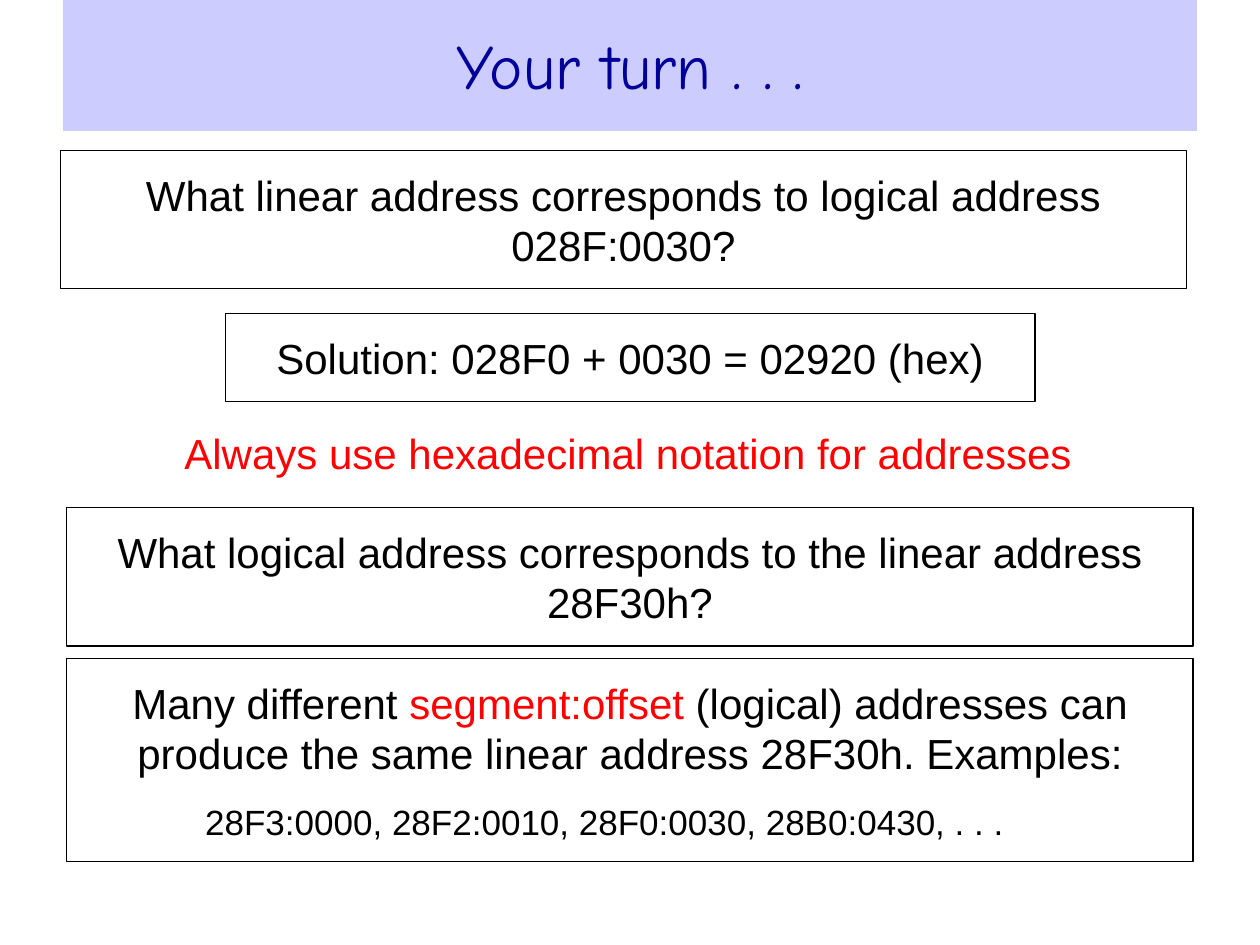
from lxml.etree import SubElement
from pptx import Presentation
from pptx.dml.color import RGBColor
from pptx.enum.shapes import MSO_SHAPE
from pptx.enum.text import MSO_ANCHOR, PP_ALIGN
from pptx.oxml.ns import qn
from pptx.util import Pt

BLACK = RGBColor(0x00, 0x00, 0x00)
RED = RGBColor(0xFF, 0x00, 0x00)
NAVY = RGBColor(0x00, 0x00, 0x99)
LAVENDER = RGBColor(0xCC, 0xCC, 0xFF)

WIDE_LEFT, WIDE_WIDTH = 38.16, 643.68
ONE_LINE, TWO_LINES = 50.4, 79.2  # box heights for 24 pt text


def add_run(paragraph, words, color=BLACK, size=24, face="Arial"):
    run = paragraph.add_run()
    run.text = words
    run.font.name = face
    run.font.size = Pt(size)
    run.font.color.rgb = color


def add_title(slide, words):
    title = slide.shapes.title
    title.left, title.top, title.width, title.height = Pt(36), Pt(-1.44), Pt(648), Pt(76.32)
    title.fill.solid()
    title.fill.fore_color.rgb = LAVENDER
    title.text_frame.vertical_anchor = MSO_ANCHOR.MIDDLE
    heading = title.text_frame.paragraphs[0]
    heading.alignment = PP_ALIGN.CENTER
    add_run(heading, words, NAVY, 36, "Comic Neue")


def format_frame(frame, side_margin=7.2):
    """Set wrapping and margins, and return the centred first paragraph."""
    frame.word_wrap = True
    frame.vertical_anchor = MSO_ANCHOR.TOP
    frame.margin_left = frame.margin_right = Pt(side_margin)
    frame.margin_top = frame.margin_bottom = Pt(10.8)
    frame.paragraphs[0].alignment = PP_ALIGN.CENTER
    return frame.paragraphs[0]


def add_framed_box(slide, left, top, width, height, runs, side_margin=7.2):
    box = slide.shapes.add_shape(MSO_SHAPE.RECTANGLE, Pt(left), Pt(top), Pt(width), Pt(height))
    box.shadow.inherit = False
    box.fill.background()
    box.line.color.rgb = BLACK
    box.line.width = Pt(0.75)
    statement = format_frame(box.text_frame, side_margin)
    for words, color in runs:
        add_run(statement, words, color)
    return box.text_frame


def add_reminder(slide, left, top, width, height, words):
    reminder = slide.shapes.add_textbox(Pt(left), Pt(top), Pt(width), Pt(height))
    add_run(format_frame(reminder.text_frame), words, RED)


def add_examples(frame, words):
    """Add a smaller left-aligned line that starts at a one-inch tab stop."""
    examples = frame.add_paragraph()
    stops = SubElement(examples._p.get_or_add_pPr(), qn("a:tabLst"))
    SubElement(stops, qn("a:tab"), pos=str(Pt(72)), algn="l")
    examples.alignment = PP_ALIGN.LEFT
    examples.space_before = Pt(12.5)
    add_run(examples, "\t" + words, size=20)


def main():
    deck = Presentation()
    deck.slide_width, deck.slide_height = Pt(720), Pt(540)
    slide = deck.slides.add_slide(deck.slide_layouts[5])

    add_title(slide, "Your turn . . .")
    add_framed_box(slide, 34.4, 85.9, WIDE_WIDTH, TWO_LINES,
                   [("What linear address corresponds to logical address 028F:0030?", BLACK)],
                   side_margin=0)
    add_framed_box(slide, 128.7, 179.2, 462.8, ONE_LINE,
                   [("Solution: 028F0 + 0030 = 02920 (hex)", BLACK)])
    add_reminder(slide, 95, 233.5, 527.8, ONE_LINE,
                 "Always use hexadecimal notation for addresses")
    add_framed_box(slide, WIDE_LEFT, 290, WIDE_WIDTH, TWO_LINES,
                   [("What logical address corresponds to the linear address 28F30h?", BLACK)])
    answer = add_framed_box(slide, WIDE_LEFT, 376.4, WIDE_WIDTH, 116, [
        ("Many different ", BLACK),
        ("segment:offset", RED),
        (" (logical) addresses can produce the same linear address 28F30h. Examples:", BLACK),
    ])
    add_examples(answer, "28F3:0000, 28F2:0010, 28F0:0030, 28B0:0430, . . .")

    deck.save("out.pptx")


if __name__ == "__main__":
    main()
